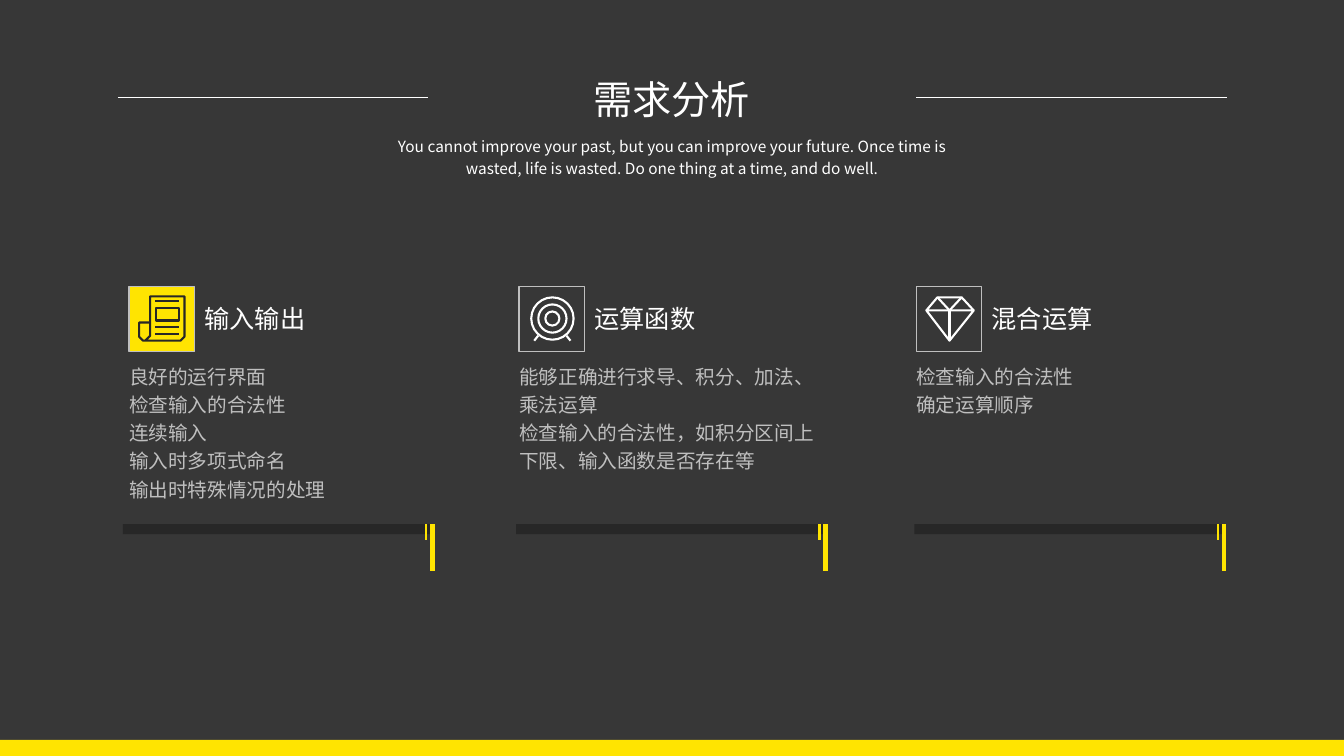
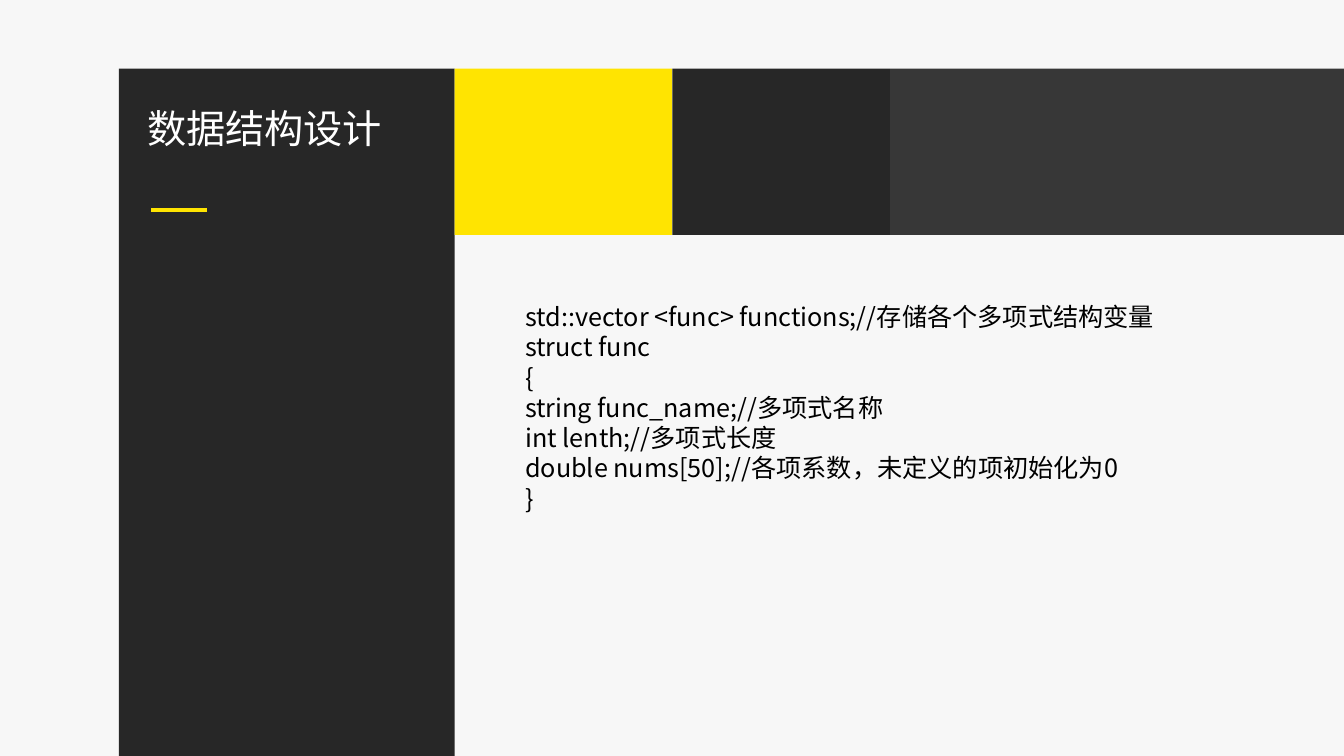
from dataclasses import dataclass

from lxml import etree
from pptx import Presentation
from pptx.dml.color import RGBColor
from pptx.enum.shapes import MSO_CONNECTOR, MSO_SHAPE
from pptx.enum.text import MSO_ANCHOR, MSO_AUTO_SIZE, PP_ALIGN
from pptx.oxml.ns import qn
from pptx.util import Inches, Pt

RECT, OVAL = MSO_SHAPE.RECTANGLE, MSO_SHAPE.OVAL
STRAIGHT = MSO_CONNECTOR.STRAIGHT
LEFT, CENTER = PP_ALIGN.LEFT, PP_ALIGN.CENTER
TOP, FIXED = MSO_ANCHOR.TOP, MSO_AUTO_SIZE.NONE

# The slide is a grid of tenth-of-an-inch cells
CELL = Inches(0.1)
COLS, ROWS = 133.33, 75


@dataclass(frozen=True)
class Theme:
    font: str = "Noto Sans CJK SC"
    dark: str = "373737"
    black: str = "272727"
    yellow: str = "FFE401"
    grey: str = "BFBFBF"
    white: str = "FFFFFF"
    paper: str = "F7F7F7"
    code: str = "000000"
    title: int = 28
    heading: int = 18
    item: int = 14
    tagline: int = 11


@dataclass(frozen=True)
class Box:
    """A region in grid cells."""
    left: float
    top: float
    width: float
    height: float

    def inner(self, dx, dy, width, height):
        return Box(self.left + dx, self.top + dy, width, height)

    def emu(self):
        return [cells(v) for v in (self.left, self.top, self.width, self.height)]


THEME = Theme()
PAGE = Box(0, 0, COLS, ROWS)

# Strokes in cells from the icon frame's corner, circles as (x, y, radius)
NEWSPAPER = {
    "strokes": [
        [(1.6, 5.4), (2.1, 4.9), (2.1, 1), (5.5, 1), (5.5, 5), (5.1, 5.4),
         (1.4, 5.4), (1, 5), (1, 3.6), (2.1, 3.6)],
        [(2.7, 2.2), (5, 2.2), (5, 3.4), (2.7, 3.4), (2.7, 2.2)],
        *[[(2.6, y), (5, y)] for y in (1.5, 4.05, 4.7)],
    ],
    "circles": [],
}
TARGET = {
    "strokes": [[(1.9, 4.9), (1.5, 5.4)], [(4.7, 4.9), (5.1, 5.4)]],
    "circles": [(3.3, 3.2, radius) for radius in (2.1, 1.4, 0.7)],
}
DIAMOND = {
    "strokes": [
        [(1, 2.4), (2.1, 1.1), (4.5, 1.1), (5.7, 2.4), (3.3, 5.4), (1, 2.4),
         (5.7, 2.4)],
        [(2.1, 1.1), (3.3, 2.4), (4.5, 1.1)],
        [(3.3, 2.4), (3.3, 5.4)],
    ],
    "circles": [],
}

# Left edge of icon and of bar, then the wording
REQUIREMENTS = [
    dict(left=12.8, bar=12.2, icon=NEWSPAPER, active=True, heading="输入输出",
         items=["良好的运行界面", "检查输入的合法性", "连续输入",
                "输入时多项式命名", "输出时特殊情况的处理"]),
    dict(left=51.5, bar=51.2, icon=TARGET, active=False, heading="运算函数",
         items=["能够正确进行求导、积分、加法、乘法运算",
                "检查输入的合法性，如积分区间上下限、输入函数是否存在等"]),
    dict(left=90.9, bar=90.7, icon=DIAMOND, active=False, heading="混合运算",
         items=["检查输入的合法性", "确定运算顺序"]),
]
TAGLINE = ("You cannot improve your past, but you can improve your future. "
           "Once time is wasted, life is wasted. "
           "Do one thing at a time, and do well.")
CODE = [
    "std::vector <func> functions;//存储各个多项式结构变量",
    "struct func",
    "{",
    "string func_name;//多项式名称",
    "int lenth;//多项式长度",
    "double nums[50];//各项系数，未定义的项初始化为0",
    "}",
]


def cells(count):
    return round(count * CELL)


def rgb(value):
    return RGBColor.from_string(value)


def set_all(target, values):
    for name, value in values.items():
        setattr(target, name, value)


def paint(shape, fill=None, line=None, weight=1):
    shape.shadow.inherit = False
    if fill:
        shape.fill.solid()
        shape.fill.fore_color.rgb = rgb(fill)
    else:
        shape.fill.background()
    if line:
        shape.line.color.rgb = rgb(line)
        shape.line.width = Pt(weight)
    else:
        shape.line.fill.background()


def block(shapes, kind, box, **look):
    paint(shapes.add_shape(kind, *box.emu()), **look)


def rule(shapes, start, end, color, weight):
    line = shapes.add_connector(STRAIGHT, *map(cells, (*start, *end)))
    line.line.color.rgb = rgb(color)
    line.line.width = Pt(weight)
    etree.SubElement(line._element.spPr, qn("a:effectLst"))


def write(shape, box, lines, size, color, align=LEFT, spacing=1.0, wrap=True):
    """Place a text holder in front and fill it with plain paragraphs."""
    set_all(shape, dict(zip(("left", "top", "width", "height"), box.emu())))
    shape._element.getparent().append(shape._element)
    frame = shape.text_frame
    frame.text = "\n".join(lines)
    set_all(frame, dict(
        word_wrap=wrap, auto_size=FIXED, vertical_anchor=TOP,
        margin_left=CELL, margin_right=CELL,
        margin_top=CELL // 2, margin_bottom=CELL // 2))
    for paragraph in frame.paragraphs:
        set_all(paragraph, dict(alignment=align, line_spacing=spacing,
                                space_before=Pt(0), space_after=Pt(0)))
        properties = paragraph._p.get_or_add_pPr()
        properties.set("marL", "0")
        properties.set("indent", "0")
        etree.SubElement(properties, qn("a:buNone"))
        for run in paragraph.runs:
            set_all(run.font, dict(name=THEME.font, size=Pt(size), bold=False))
            run.font.color.rgb = rgb(color)
            east_asian = etree.SubElement(run._r.get_or_add_rPr(), qn("a:ea"))
            east_asian.set("typeface", THEME.font)


def write_title(slide, box, text, align):
    write(slide.shapes.title, box, [text], THEME.title, THEME.white, align,
          wrap=False)


def new_slide(deck, layout, background):
    slide = deck.slides.add_slide(deck.slide_layouts.get_by_name(layout))
    slide.background.fill.solid()
    slide.background.fill.fore_color.rgb = rgb(background)
    return slide


def header(slide, box, tagline_holder):
    """Centred title between two rules, with a tagline below."""
    write_title(slide, box.inner(46.1, 0, 17.7, 5.7), "需求分析", CENTER)
    y = box.top + 2.7
    for x in (box.left, box.left + box.width - 30.8):
        rule(slide.shapes, (x, y), (x + 30.8, y), THEME.white, 0.5)
    write(tagline_holder, box.inner(25.4, 5.7, 59.2, 5.3), [TAGLINE],
          THEME.tagline, THEME.white, CENTER, 1.2)


def icon(slide, box, drawing, active):
    """Framed line drawing; the active one is highlighted."""
    shapes = slide.shapes.add_group_shape().shapes
    ink = THEME.black if active else THEME.white
    block(shapes, RECT, box, fill=THEME.yellow if active else None,
          line=THEME.grey)
    for x, y, radius in drawing["circles"]:
        block(shapes, OVAL,
              box.inner(x - radius, y - radius, 2 * radius, 2 * radius),
              line=ink, weight=1.5)
    strokes = [[(cells(box.left + x), cells(box.top + y)) for x, y in stroke]
               for stroke in drawing["strokes"]]
    pen = shapes.build_freeform(*strokes[0][0])
    pen.add_line_segments(strokes[0][1:], close=False)
    for stroke in strokes[1:]:
        pen.move_to(*stroke[0])
        pen.add_line_segments(stroke[1:], close=False)
    paint(pen.convert_to_shape(), line=ink, weight=1.5)


def requirement(slide, box, content, items_holder):
    """Icon, heading and list over a bar with two ticks."""
    icon(slide, box.inner(0, 0, 6.5, 6.5), content["icon"], content["active"])
    heading = box.inner(6.5, 1.2, 12.1, 4)
    write(slide.shapes.add_textbox(*heading.emu()), heading,
          [content["heading"]], THEME.heading, THEME.white, wrap=False)
    write(items_holder, box.inner(-1, 6.8, box.width, 14.9), content["items"],
          THEME.item, THEME.grey, spacing=1.2)
    bar = Box(content["bar"], box.top + 23.6, 30.9, 1)
    block(slide.shapes, RECT, bar, fill=THEME.black)
    for dx, length, weight in ((30.7, 4.6, 3), (30.1, 1.6, 1.5)):
        x = bar.left + dx
        rule(slide.shapes, (x, bar.top), (x, bar.top + length),
             THEME.yellow, weight)


def requirements_slide(deck):
    slide = new_slide(deck, "Comparison", THEME.dark)
    tagline, *lists = list(slide.placeholders)[1:]
    header(slide, PAGE.inner(11.7, 7, 110, 11), tagline)
    for content, holder in zip(REQUIREMENTS, lists):
        requirement(slide, Box(content["left"], 28.4, 32.3, 28.2), content, holder)
    block(slide.shapes, RECT, PAGE.inner(0, 73.4, COLS, 1.6), fill=THEME.yellow)


def side_panel(slide, box):
    """Dark column carrying the title and a short accent."""
    block(slide.shapes, RECT, box, fill=THEME.black)
    write_title(slide, box.inner(1.8, 3, 26.7, 5.7), "数据结构设计", LEFT)
    x, y = box.left + 3.2, box.top + 14
    rule(slide.shapes, (x, y), (x + 5.5, y), THEME.yellow, 3)


def top_band(slide, box):
    """Two equal tiles, the last colour runs to the slide's edge."""
    tile = 21.6
    widths = (tile, tile, box.width - 2 * tile)
    for index, color in enumerate((THEME.yellow, THEME.black, THEME.dark)):
        block(slide.shapes, RECT,
              box.inner(index * tile, 0, widths[index], box.height), fill=color)


def data_structure_slide(deck):
    slide = new_slide(deck, "Title and Content", THEME.paper)
    side_panel(slide, PAGE.inner(11.8, 6.8, 33.3, ROWS - 6.8))
    top_band(slide, PAGE.inner(45.1, 6.8, COLS - 45.1, 16.5))
    write(slide.placeholders[1], PAGE.inner(51.1, 29.4, 70.3, 25.2), CODE,
          THEME.heading, THEME.code)


def main():
    deck = Presentation()
    deck.slide_width, deck.slide_height = cells(COLS), cells(ROWS)
    requirements_slide(deck)
    data_structure_slide(deck)
    deck.save("out.pptx")


if __name__ == "__main__":
    main()
